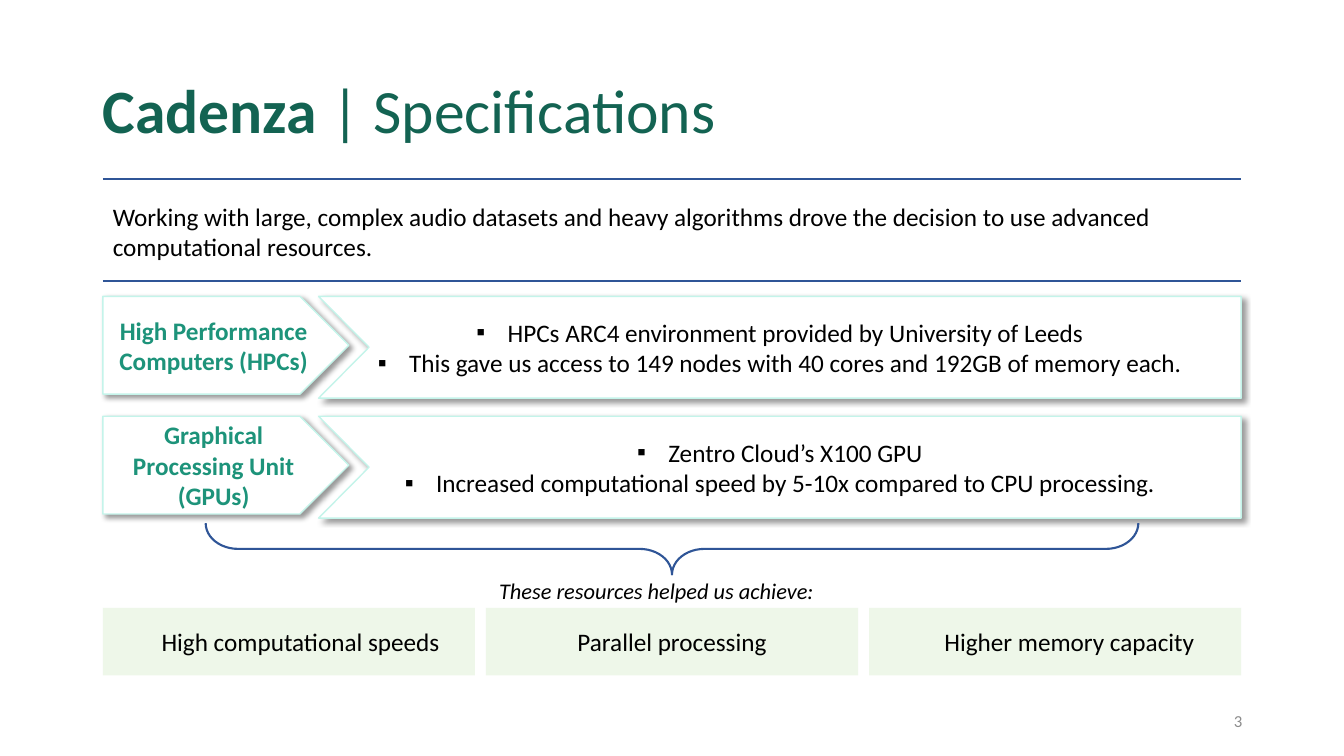
from dataclasses import dataclass
from typing import Any, NamedTuple

from lxml import etree
from pptx import Presentation
from pptx.dml.color import RGBColor
from pptx.enum.shapes import MSO_CONNECTOR, MSO_SHAPE
from pptx.enum.text import MSO_ANCHOR, MSO_AUTO_SIZE, PP_ALIGN
from pptx.oxml.ns import qn
from pptx.util import Inches, Pt

LINE = MSO_CONNECTOR.STRAIGHT
RECT, PLATE, BRACE = MSO_SHAPE.RECTANGLE, MSO_SHAPE.PENTAGON, MSO_SHAPE.LEFT_BRACE
TOP, MIDDLE = MSO_ANCHOR.TOP, MSO_ANCHOR.MIDDLE
LEFT, CENTER, RIGHT = PP_ALIGN.LEFT, PP_ALIGN.CENTER, PP_ALIGN.RIGHT
FIXED = MSO_AUTO_SIZE.NONE


@dataclass(frozen=True)
class Theme:
    font: str = "Calibri"
    title: str = "136352"
    label: str = "1D937A"
    text: str = "000000"
    number: str = "8C8C8C"
    rule: str = "2F5597"
    edge: str = "C4F4EA"
    panel: str = "FFFFFF"
    tile: str = "EEF7E9"
    title_size: int = 44
    text_size: int = 18
    note_size: int = 16
    number_size: int = 12


class Box(NamedTuple):
    left: float
    top: float
    width: float
    height: float


class Row(NamedTuple):
    label: str
    points: list[str]


class Gain(NamedTuple):
    text: str
    inset: float


THEME = Theme()
MARGIN, END = 1.02, 12.31
ROW_TOP, ROW_STEP = 2.94, 1.19
ARROW_LEFT, ARROW_DEPTH, ARROW_HEIGHT = 3.16, 0.5, 1.01
TILE_TOP, TILE_STEP = 6.03, 3.8

ROWS = [
    Row("High Performance Computers (HPCs)", [
        "HPCs ARC4 environment provided by University of Leeds",
        "This gave us access to 149 nodes with 40 cores and 192GB of memory each.",
    ]),
    Row("Graphical Processing Unit (GPUs)", [
        "Zentro Cloud’s X100 GPU",
        "Increased computational speed by 5-10x compared to CPU processing.",
    ]),
]
GAINS = [
    Gain("High computational speeds", 0.33),
    Gain("Parallel processing", 0.1),
    Gain("Higher memory capacity", 0.38),
]


def place(box: Box) -> tuple:
    return tuple(Inches(side) for side in box)


def apply(target: Any, values: dict) -> None:
    for name, value in values.items():
        setattr(target, name, value)


def style(run: Any, size: int, color: str, **extra: bool) -> None:
    apply(run.font, {"name": THEME.font, "size": Pt(size), **extra})
    run.font.color.rgb = RGBColor.from_string(color)


def mark(para: Any) -> None:
    """Give the paragraph a hanging square bullet."""
    props = para._p.get_or_add_pPr()
    props.set("marL", str(Inches(0.31)))
    props.set("indent", str(Inches(-0.31)))
    etree.SubElement(props, qn("a:buFont"), typeface="Arial")
    etree.SubElement(props, qn("a:buChar"), char="▪")


def write(shape: Any, lines: list[str], size: int = THEME.text_size,
          color: str = THEME.text, align: Any = CENTER, anchor: Any = MIDDLE,
          bullet: bool = False, **extra: bool) -> None:
    frame = shape.text_frame
    apply(frame, {"word_wrap": True, "auto_size": FIXED, "vertical_anchor": anchor})
    for index, line in enumerate(lines):
        para = frame.add_paragraph() if index else frame.paragraphs[0]
        if bullet:
            mark(para)
        para.alignment = align
        run = para.add_run()
        run.text = line
        style(run, size, color, **extra)


def paint(shape: Any, fill: str | None = None, edge: str | None = None,
          width: float = 1) -> None:
    shape.shadow.inherit = False
    for part, color in ((shape.fill, fill), (shape.line.fill, edge)):
        if color:
            part.solid()
            part.fore_color.rgb = RGBColor.from_string(color)
        else:
            part.background()
    if edge:
        shape.line.width = Pt(width)


def shade(shape: Any) -> None:
    """Add a soft shadow at the lower right."""
    effects = shape._element.spPr.find(qn("a:effectLst"))
    outer = etree.SubElement(effects, qn("a:outerShdw"), blurRad=str(Pt(4)),
                             dist=str(Pt(3)), dir="2700000", algn="tl", rotWithShape="0")
    color = etree.SubElement(outer, qn("a:srgbClr"), val="000000")
    etree.SubElement(color, qn("a:alpha"), val="40000")


def draw_head(slide: Any) -> None:
    title = slide.shapes.title
    box = place(Box(0.92, 0.4, 11.5, 1.45))
    apply(title, dict(zip(("left", "top", "width", "height"), box)))
    apply(title.text_frame, {"vertical_anchor": MIDDLE, "auto_size": FIXED})
    para = title.text_frame.paragraphs[0]
    apply(para, {"alignment": LEFT, "line_spacing": 0.9})
    for text, bold in (("Cadenza", True), (" | Specifications", False)):
        run = para.add_run()
        run.text = text
        style(run, THEME.title_size, THEME.title, bold=bold)


def draw_rule(slide: Any, top: float) -> None:
    rule = slide.shapes.add_connector(LINE, Inches(MARGIN), Inches(top),
                                      Inches(END), Inches(top))
    rule.line.color.rgb = RGBColor.from_string(THEME.rule)
    rule.line.width = Pt(1.5)
    etree.SubElement(rule._element.spPr, qn("a:effectLst"))


def draw_row(slide: Any, row: Row, top: float) -> None:
    plate = slide.shapes.add_shape(PLATE, *place(Box(MARGIN, top, 2.44, 0.97)))
    base = top + ARROW_HEIGHT
    notch = (ARROW_LEFT + ARROW_DEPTH, top + ARROW_HEIGHT / 2)
    build = slide.shapes.build_freeform(Inches(ARROW_LEFT), Inches(top))
    corners = [(END, top), (END, base), (ARROW_LEFT, base), notch]
    build.add_line_segments([(Inches(x), Inches(y)) for x, y in corners], close=True)
    panel = build.convert_to_shape()
    for shape in (plate, panel):
        paint(shape, THEME.panel, THEME.edge)
        shade(shape)
    write(plate, [row.label], color=THEME.label, bold=True)
    write(panel, row.points, bullet=True)


def draw_brace(slide: Any) -> None:
    brace = slide.shapes.add_shape(BRACE, *place(Box(6.41, 0.82, 0.51, 9.25)))
    brace.rotation = 270
    brace.adjustments[0] = 0.63
    brace.adjustments[1] = 0.5
    paint(brace, edge=THEME.rule, width=1.5)


def draw_gain(slide: Any, gain: Gain, left: float) -> None:
    tile = slide.shapes.add_shape(RECT, *place(Box(left, TILE_TOP, 3.69, 0.67)))
    paint(tile, THEME.tile)
    write(tile, [gain.text])
    tile.text_frame.margin_left = Inches(gain.inset)


def add_text(slide: Any, box: Box, text: str, **looks: Any) -> None:
    write(slide.shapes.add_textbox(*place(box)), [text], **looks)


def main() -> None:
    deck = Presentation()
    apply(deck, {"slide_width": Inches(13.33), "slide_height": Inches(7.5)})
    slide = deck.slides.add_slide(deck.slide_layouts[5])
    draw_head(slide)
    add_text(slide, Box(MARGIN, 1.95, 11.28, 0.71),
             "Working with large, complex audio datasets and heavy algorithms drove "
             "the decision to use advanced computational resources.",
             align=LEFT, anchor=TOP)
    for top in (1.78, 2.79):
        draw_rule(slide, top)
    for index, row in enumerate(ROWS):
        draw_row(slide, row, ROW_TOP + index * ROW_STEP)
    draw_brace(slide)
    add_text(slide, Box(3.37, 5.68, 6.28, 0.37), "These resources helped us achieve:",
             size=THEME.note_size, anchor=TOP, italic=True)
    for index, gain in enumerate(GAINS):
        draw_gain(slide, gain, MARGIN + index * TILE_STEP)
    add_text(slide, Box(9.42, 6.95, 3, 0.4), "3", size=THEME.number_size,
             color=THEME.number, align=RIGHT)
    deck.save("out.pptx")


if __name__ == "__main__":
    main()
